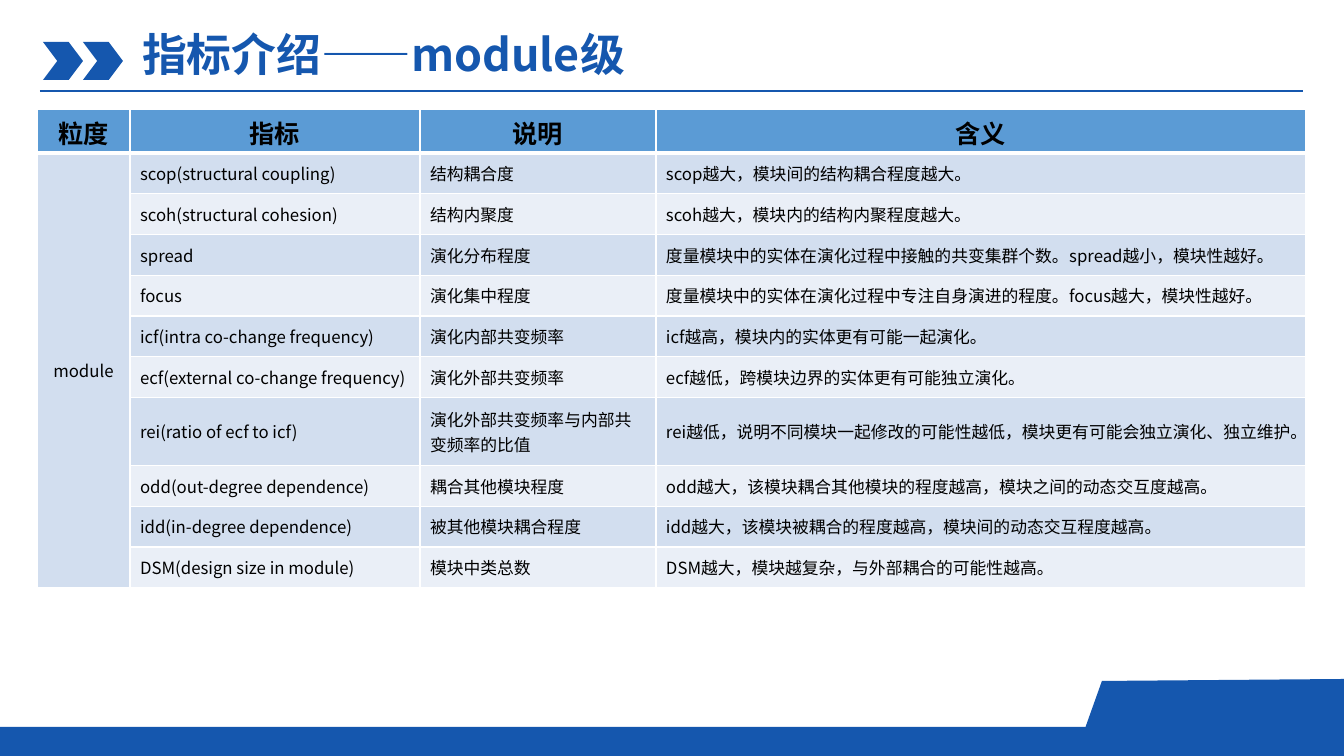
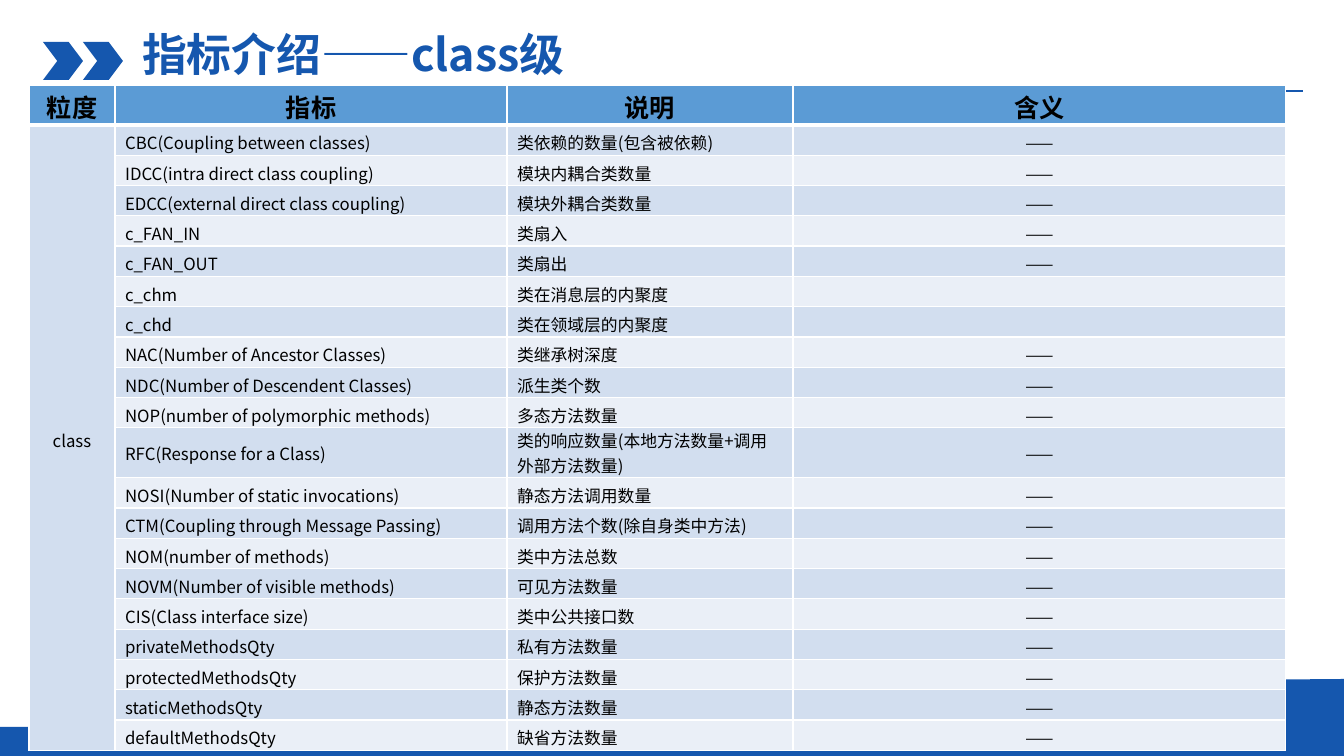
from lxml.etree import SubElement
from pptx import Presentation
from pptx.dml.color import RGBColor
from pptx.enum.shapes import MSO_CONNECTOR, MSO_SHAPE
from pptx.enum.text import MSO_ANCHOR, PP_ALIGN
from pptx.oxml.ns import qn
from pptx.util import Emu, Pt

BLUE = RGBColor(0x15, 0x57, 0xAE)
HEAD = RGBColor(0x5B, 0x9B, 0xD5)
BANDS = RGBColor(0xEA, 0xEF, 0xF7), RGBColor(0xD2, 0xDE, 0xEF)
WHITE = RGBColor(0xFF, 0xFF, 0xFF)
BLACK = RGBColor(0, 0, 0)
FONT = "Noto Sans CJK SC"
WIDE, HIGH = 1344, 756
PX = 914400 * 13.3333 / WIDE

HEADS = "粒度", "指标", "说明", "含义"
MODULE = [
    ("scop(structural coupling)", "结构耦合度", "scop越大，模块间的结构耦合程度越大。"),
    ("scoh(structural cohesion)", "结构内聚度", "scoh越大，模块内的结构内聚程度越大。"),
    ("spread", "演化分布程度",
     "度量模块中的实体在演化过程中接触的共变集群个数。spread越小，模块性越好。"),
    ("focus", "演化集中程度",
     "度量模块中的实体在演化过程中专注自身演进的程度。focus越大，模块性越好。"),
    ("icf(intra co-change frequency)", "演化内部共变频率",
     "icf越高，模块内的实体更有可能一起演化。"),
    ("ecf(external co-change frequency)", "演化外部共变频率",
     "ecf越低，跨模块边界的实体更有可能独立演化。"),
    ("rei(ratio of ecf to icf)", "演化外部共变频率与内部共变频率的比值",
     "rei越低，说明不同模块一起修改的可能性越低，模块更有可能会独立演化、独立维护。"),
    ("odd(out-degree dependence)", "耦合其他模块程度",
     "odd越大，该模块耦合其他模块的程度越高，模块之间的动态交互度越高。"),
    ("idd(in-degree dependence)", "被其他模块耦合程度",
     "idd越大，该模块被耦合的程度越高，模块间的动态交互程度越高。"),
    ("DSM(design size in module)", "模块中类总数",
     "DSM越大，模块越复杂，与外部耦合的可能性越高。"),
]
DASH = "——"
CLASS = [
    ("CBC(Coupling between classes)", "类依赖的数量(包含被依赖)", DASH),
    ("IDCC(intra direct class coupling)", "模块内耦合类数量", DASH),
    ("EDCC(external direct class coupling)", "模块外耦合类数量", DASH),
    ("c_FAN_IN", "类扇入", DASH),
    ("c_FAN_OUT", "类扇出", DASH),
    ("c_chm", "类在消息层的内聚度", ""),
    ("c_chd", "类在领域层的内聚度", ""),
    ("NAC(Number of Ancestor Classes)", "类继承树深度", DASH),
    ("NDC(Number of Descendent Classes)", "派生类个数", DASH),
    ("NOP(number of polymorphic methods)", "多态方法数量", DASH),
    ("RFC(Response for a Class)", "类的响应数量(本地方法数量+调用外部方法数量)", DASH),
    ("NOSI(Number of static invocations)", "静态方法调用数量", DASH),
    ("CTM(Coupling through Message Passing)", "调用方法个数(除自身类中方法)", DASH),
    ("NOM(number of methods)", "类中方法总数", DASH),
    ("NOVM(Number of visible methods)", "可见方法数量", DASH),
    ("CIS(Class interface size)", "类中公共接口数", DASH),
    ("privateMethodsQty", "私有方法数量", DASH),
    ("protectedMethodsQty", "保护方法数量", DASH),
    ("staticMethodsQty", "静态方法数量", DASH),
    ("defaultMethodsQty", "缺省方法数量", DASH),
]
# head and tall are row heights; wrap is the body row that holds two lines
PAGES = [
    dict(level="module", rows=MODULE, left=37, top=109, cols=(93, 290, 236, 650),
         high=479, head=44, tall=68, wrap=6),
    dict(level="class", rows=CLASS, left=29, top=85, cols=(86, 392, 286, 493),
         high=666, head=40, tall=50, wrap=10),
]


def px(n):
    return Emu(round(n * PX))


def write(frame, text, size=12, bold=False, color=BLACK, align=PP_ALIGN.LEFT, space=1.0):
    para = frame.paragraphs[0]
    para.alignment = align
    para.line_spacing = space
    if not text:
        SubElement(para._p, qn("a:endParaRPr"), sz=str(size * 100))
        return
    run = para.add_run()
    run.text = text
    font = run.font
    font.size, font.bold, font.name = Pt(size), bold, FONT
    font.color.rgb = color
    SubElement(font._element, qn("a:ea"), typeface=FONT)


def paint(shape):
    shape.shadow.inherit = False
    shape.fill.solid()
    shape.fill.fore_color.rgb = BLUE
    shape.line.fill.background()
    return shape


def decorate(layout, slide):
    """Draw the shared parts on the slide, then move them to its layout."""
    shapes = slide.shapes
    band = shapes.add_shape(MSO_SHAPE.RECTANGLE, 0, px(727), px(WIDE), px(29))
    pen = shapes.build_freeform(WIDE, 751, scale=PX)
    pen.add_line_segments([(WIDE, 679), (1102, 681), (1077, 751)], close=True)
    parts = [paint(band), paint(pen.convert_to_shape())]
    for left in (43, 83):
        arrow = shapes.add_shape(MSO_SHAPE.CHEVRON, px(left), px(42), px(40), px(38))
        arrow.adjustments[0] = 0.375
        parts.append(paint(arrow))
    rule = shapes.add_connector(MSO_CONNECTOR.STRAIGHT, px(40), px(91), px(1303), px(91))
    rule.line.color.rgb = BLUE
    rule.line.width = Pt(1.5)
    SubElement(rule.element.spPr, qn("a:effectLst"))
    for n, part in enumerate(parts + [rule], 20):
        part.element.xpath(".//p:cNvPr")[0].set("id", str(n))
        layout.shapes.element.append(part.element)


def border(cell, **widths):
    for side in "LRTB":
        line = SubElement(cell._tc.get_or_add_tcPr(), qn("a:ln" + side),
                          w=str(Pt(widths.get(side, 1))))
        fill = SubElement(line, qn("a:solidFill"))
        SubElement(fill, qn("a:srgbClr"), val=str(WHITE))


def style(cell, fill, need, high, **edges):
    """Set borders and fill; need is the height of the text in the row."""
    border(cell, **edges)
    cell.fill.solid()
    cell.fill.fore_color.rgb = fill
    cell.vertical_anchor = MSO_ANCHOR.MIDDLE
    spare = max(0, high - need)
    cell.margin_top = px(min(5, spare))
    cell.margin_bottom = px(min(5, max(0, spare - 5)))


def tabulate(slide, level, rows, left, top, cols, high, head, tall, wrap):
    grid = slide.shapes.add_table(len(rows) + 1, len(cols), px(left), px(top),
                                  px(sum(cols)), px(high)).table
    for col, wide in zip(grid.columns, cols):
        col.width = px(wide)
    each = (high - head - tall) / (len(rows) - 1)
    grid.rows[0].height = px(head)
    for c, text in enumerate(HEADS):
        cell = grid.cell(0, c)
        style(cell, HEAD, 37, head, B=3)
        write(cell.text_frame, text, size=18, bold=True, align=PP_ALIGN.CENTER)
    for r, row in enumerate(rows, 1):
        size, need = (tall, 50) if r == wrap + 1 else (each, 25)
        grid.rows[r].height = px(size)
        for c, text in enumerate((level if r == 1 else "",) + row):
            cell = grid.cell(r, c)
            edges = {"T": 3} if r == 1 else {}
            style(cell, BANDS[r % 2 if c else 1], need, size, **edges)
            mid = c == 0 or text == DASH
            write(cell.text_frame, text, align=PP_ALIGN.CENTER if mid else PP_ALIGN.LEFT)
    grid.cell(1, 0).merge(grid.cell(len(rows), 0))


def main():
    deck = Presentation()
    deck.slide_width, deck.slide_height = px(WIDE), px(HIGH)
    layout = deck.slide_layouts[5]
    for n, page in enumerate(PAGES):
        slide = deck.slides.add_slide(layout)
        if n == 0:
            decorate(layout, slide)
        title = slide.shapes.title
        title.left, title.top, title.width, title.height = map(px, (132, 28, 1200, 60))
        title.text_frame.vertical_anchor = MSO_ANCHOR.TOP
        write(title.text_frame, f"指标介绍——{page['level']}级", size=32, bold=True,
              color=BLUE, space=0.9)
        tabulate(slide, **page)
    deck.save("out.pptx")


if __name__ == "__main__":
    main()
